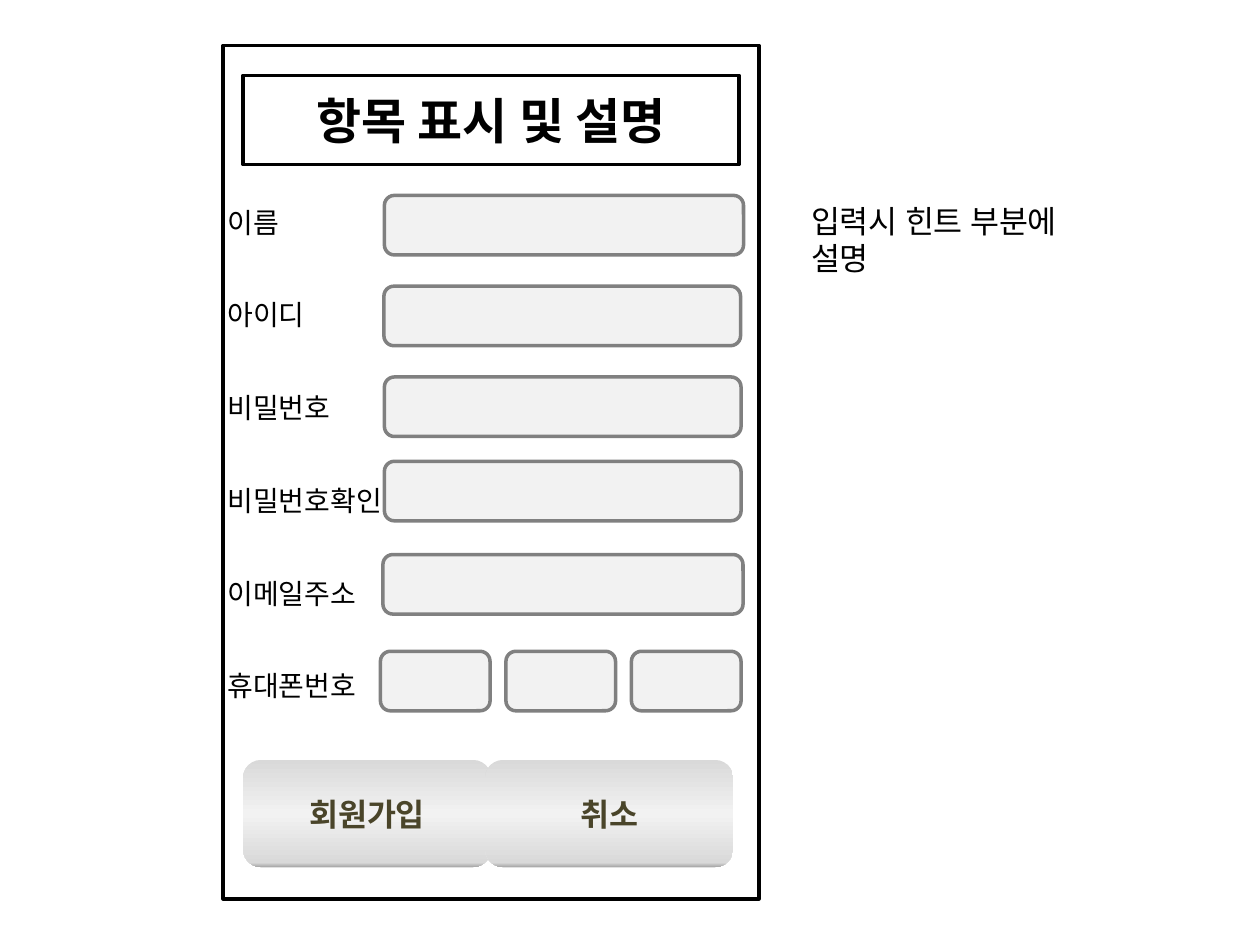
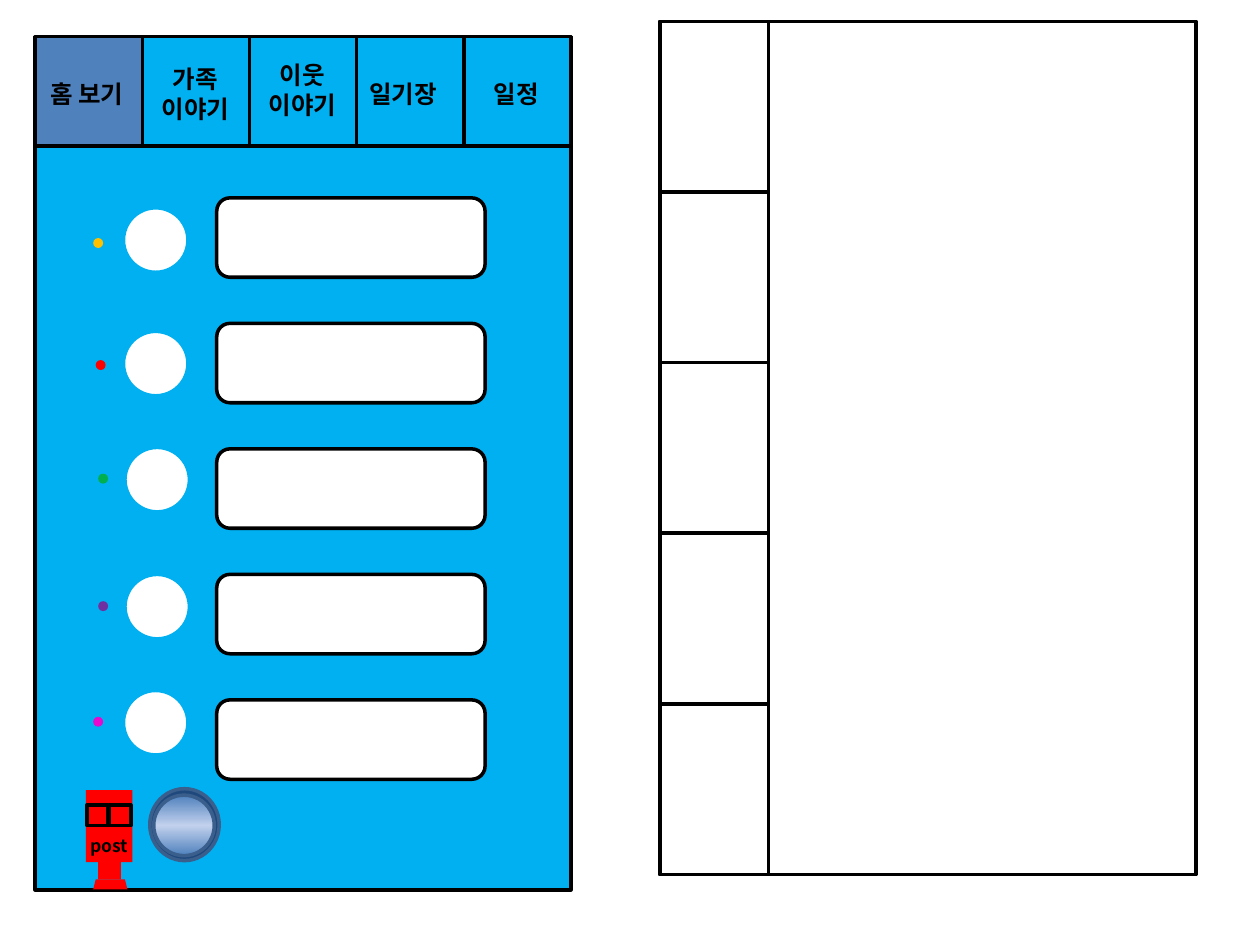
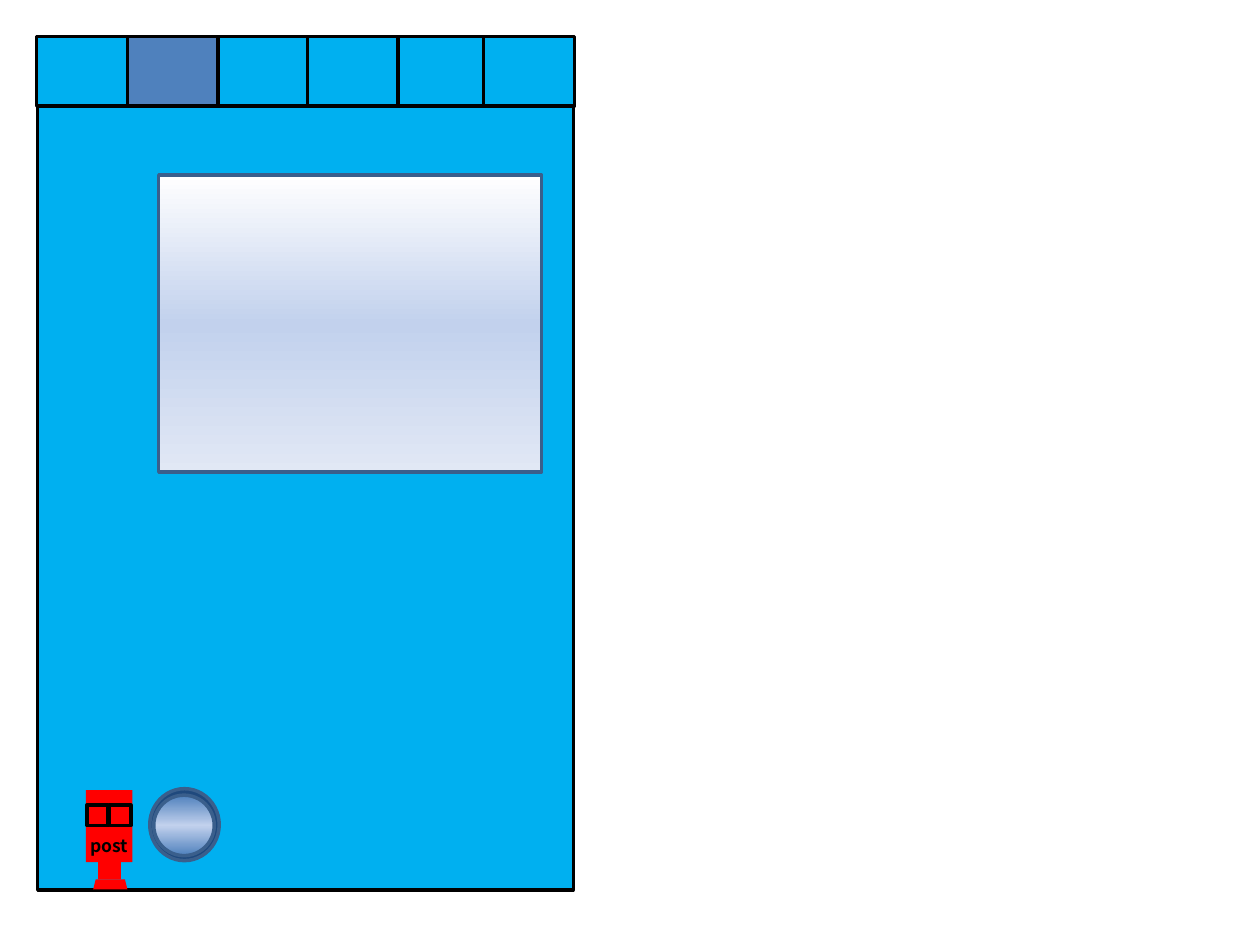
"""Build three wireframe slides of a family diary app."""
import lxml.etree
import pptx
import pptx.dml.color
import pptx.enum.shapes
import pptx.enum.text
import pptx.oxml.ns
import pptx.util

FONT = "Noto Sans CJK KR"
BLACK, WHITE, RED = "000000", "FFFFFF", "FF0000"
SKY, ACTIVE, NAVY, EDGE = "00B0F0", "4F81BD", "1F497D", "3A5F8C"
FIELD_FILL, FIELD_LINE, BUTTON_TEXT = "F2F2F2", "808080", "4A452A"
SILVER = [(0, "D9D9D9"), (50, "F2F2F2"), (96, "D9D9D9"), (100, "A6A6A6")]
GLASS = [(0, "4F81BD"), (50, "C2D1ED"), (100, "4F81BD")]
PALE = [(0, "FFFFFF"), (50, "C2D1ED"), (100, "E1E8F5")]
SCREEN_WIDTH, SCREEN_HEIGHT = 10.8, 17.2
SCREEN_TOP = 0.74
RECTANGLE = pptx.enum.shapes.MSO_SHAPE.RECTANGLE
ROUNDED = pptx.enum.shapes.MSO_SHAPE.ROUNDED_RECTANGLE
OVAL = pptx.enum.shapes.MSO_SHAPE.OVAL
TRAPEZOID = pptx.enum.shapes.MSO_SHAPE.TRAPEZOID
CENTER = pptx.enum.text.PP_ALIGN.CENTER
LEFT = pptx.enum.text.PP_ALIGN.LEFT


def color(value):
    """Turn a hex string into a colour."""
    return pptx.dml.color.RGBColor.from_string(value)


def lengths(box):
    """Turn left, top, width and height in centimetres into lengths."""
    return [pptx.util.Cm(value) for value in box]


def fill_gradient(shape, stops):
    """Fill a shape with a gradient running from top to bottom."""
    shape.fill.gradient()
    shape.fill.gradient_angle = 270
    qn = pptx.oxml.ns.qn
    stop_list = shape.element.find(".//" + qn("a:gsLst"))
    for stop in list(stop_list):
        stop_list.remove(stop)
    for position, value in stops:
        stop = lxml.etree.SubElement(stop_list, qn("a:gs"), pos=str(position * 1000))
        lxml.etree.SubElement(stop, qn("a:srgbClr"), val=value)


def add_box(shapes, kind, box, fill=None, line=None):
    """Add a preset shape with an optional plain or gradient fill and a line."""
    shape = shapes.add_shape(kind, *lengths(box))
    shape.shadow.inherit = False
    if fill is None:
        shape.fill.background()
    elif isinstance(fill, list):
        fill_gradient(shape, fill)
    else:
        shape.fill.solid()
        shape.fill.fore_color.rgb = color(fill)
    if line is None:
        shape.line.fill.background()
    else:
        shape.line.color.rgb = color(line)
        shape.line.width = pptx.util.Pt(2)
    return shape


def write(shape, text, size, bold=False, align=LEFT, text_color=BLACK):
    """Write text into a shape and format its runs."""
    shape.text_frame.text = text
    for paragraph in shape.text_frame.paragraphs:
        paragraph.alignment = align
        for run in paragraph.runs:
            run.font.size = pptx.util.Pt(size)
            run.font.bold = bold
            run.font.color.rgb = color(text_color)
            run.font.name = FONT
            lxml.etree.SubElement(run.font._element, pptx.oxml.ns.qn("a:ea"), typeface=FONT)


def add_label(shapes, box, text, size, bold=False, align=LEFT):
    """Add a wrapping text box."""
    label = shapes.add_textbox(*lengths(box))
    label.text_frame.word_wrap = True
    label.text_frame.auto_size = pptx.enum.text.MSO_AUTO_SIZE.SHAPE_TO_FIT_TEXT
    write(label, text, size, bold, align)


def add_field(shapes, left, top, width):
    """Add a grey input field."""
    add_box(shapes, ROUNDED, (left, top, width, 1.2), FIELD_FILL, FIELD_LINE)


def add_screen(shapes, left, top, fill=None):
    """Add the outline of a phone screen."""
    add_box(shapes, RECTANGLE, (left, top, SCREEN_WIDTH, SCREEN_HEIGHT), fill, BLACK)


def add_tabs(shapes, lefts, width, height, active):
    """Add a row of tabs, each lying over its right neighbour."""
    group = shapes.add_group_shape()
    for index, left in reversed(list(enumerate(lefts))):
        fill = ACTIVE if index == active else SKY
        add_box(group.shapes, RECTANGLE, (left, SCREEN_TOP, width, height), fill, BLACK)


def add_post_bar(shapes):
    """Add the red post box and the round home button."""
    post = shapes.add_group_shape().shapes
    add_box(post, RECTANGLE, (1.73, 15.93, 0.94, 1.45), RED)
    add_box(post, RECTANGLE, (1.98, 17.37, 0.46, 0.36), RED)
    add_box(post, TRAPEZOID, (1.88, 17.73, 0.69, 0.2), RED)
    for left in (1.75, 2.21):
        add_box(post, RECTANGLE, (left, 16.23, 0.43, 0.41), RED, BLACK)
    add_label(post, (1.57, 16.71, 1.42, 0.69), "post", 10, True)
    add_box(shapes, OVAL, (3.02, 15.9, 1.4, 1.45), NAVY, EDGE)
    add_box(shapes, OVAL, (3.1, 16.03, 1.22, 1.22), GLASS, EDGE)


def build_sign_up(shapes):
    """Build the sign-up form."""
    title = add_box(shapes, RECTANGLE, (4.9, 1.52, 10, 1.8), None, BLACK)
    write(title, "항목 표시 및 설명", 28, True, CENTER)
    add_screen(shapes, 4.5, 0.92)
    fields = [(7.75, 3.94, 7.24), (7.74, 5.77, 7.19), (7.75, 7.6, 7.19),
              (7.75, 9.3, 7.19), (7.72, 11.18, 7.26)]
    for left, top, width in fields:
        add_field(shapes, left, top, width)
    phone = shapes.add_group_shape().shapes
    for index in range(3):
        add_field(phone, 7.67 + 2.53 * index, 13.13, 2.21)
    names = ["이름", "아이디", "비밀번호", "비밀번호확인", "이메일주소", "휴대폰번호"]
    for index, name in enumerate(names):
        add_label(shapes, (4.34, 4.01 + 1.87 * index, 4, 0.94), name, 16)
    add_label(shapes, (16.1, 3.94, 7, 1.8), "입력시 힌트 부분에\n설명", 18)
    for left, caption in ((4.9, "회원가입"), (9.78, "취소")):
        button = add_box(shapes, ROUNDED, (left, 15.32, 5, 2.16), SILVER)
        write(button, caption, 18, True, CENTER, BUTTON_TEXT)


def build_home(shapes):
    """Build the home screen and the empty side-tab screen."""
    add_screen(shapes, 0.71, SCREEN_TOP, SKY)
    add_tabs(shapes, [0.71 + 2.16 * index for index in range(5)], 2.16, 2.21, 0)
    side = shapes.add_group_shape().shapes
    for index in range(5):
        add_box(side, RECTANGLE, (13.31, 0.43 + 3.44 * index, 2.18, 3.44), None, BLACK)
    add_screen(shapes, 13.31, 0.43)
    for index in range(5):
        add_box(shapes, ROUNDED, (4.37, 3.99 + 2.53 * index, 5.41, 1.6), WHITE, BLACK)
    members = [(2.49, 4.19, 1.88, 4.8, "FFC000"), (2.49, 6.68, 1.93, 7.26, RED),
               (2.52, 9.02, 1.98, 9.55, "00B050"), (2.52, 11.58, 1.98, 12.12, "7030A0"),
               (2.49, 13.92, 1.88, 14.45, "E709CD")]
    for face_left, face_top, dot_left, dot_top, dot_color in members:
        member = shapes.add_group_shape().shapes
        add_box(member, OVAL, (face_left, face_top, 1.3, 1.3), WHITE, SKY)
        add_box(member, OVAL, (dot_left, dot_top, 0.2, 0.2), dot_color)
    captions = [(0.76, 1.47, "홈 보기", LEFT), (2.72, 1.17, "가족\n이야기", CENTER),
                (4.88, 1.09, "이웃\n이야기", CENTER), (7.19, 1.47, "일기장", LEFT),
                (9.7, 1.47, "일정", LEFT)]
    for left, top, caption, align in captions:
        height = 1.45 if "\n" in caption else 0.86
        add_label(shapes, (left, top, 2.44, height), caption, 14, True, align)
    add_post_bar(shapes)


def build_family(shapes):
    """Build the screen of the second tab with its large panel."""
    add_screen(shapes, 0.76, SCREEN_TOP, SKY)
    add_post_bar(shapes)
    add_tabs(shapes, [0.74, 2.57, 4.37, 6.2, 7.92, 9.75], 1.83, 1.4, 1)
    add_box(shapes, RECTANGLE, (3.2, 3.53, 7.72, 5.99), PALE, EDGE)


def main():
    """Build and save the presentation."""
    presentation = pptx.Presentation()
    presentation.slide_width = pptx.util.Cm(25.4)
    presentation.slide_height = pptx.util.Cm(19.05)
    for build in (build_sign_up, build_home, build_family):
        slide = presentation.slides.add_slide(presentation.slide_layouts[6])
        build(slide.shapes)
    presentation.save("out.pptx")


if __name__ == "__main__":
    main()
